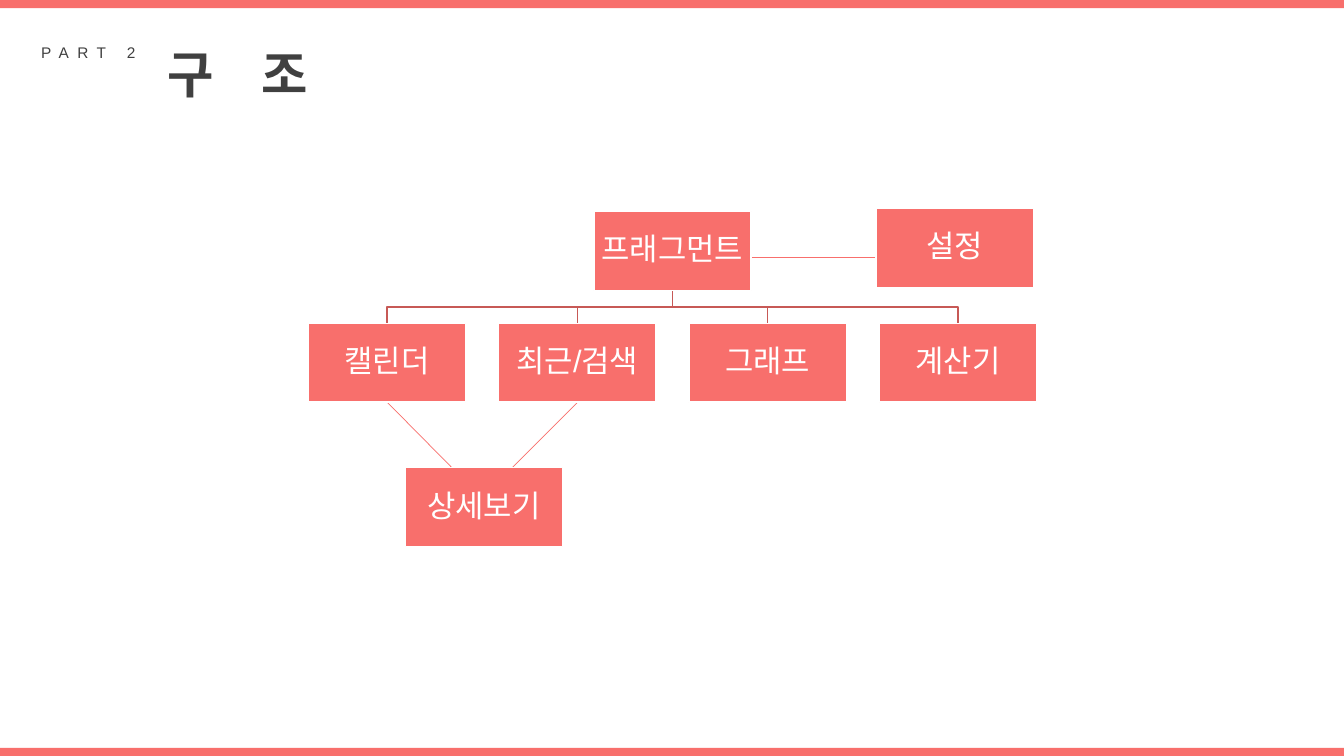
from dataclasses import dataclass

from lxml import etree
from pptx import Presentation
from pptx.dml.color import RGBColor
from pptx.enum.shapes import MSO_CONNECTOR, MSO_SHAPE
from pptx.enum.text import MSO_ANCHOR, MSO_AUTO_SIZE, PP_ALIGN
from pptx.oxml.ns import qn
from pptx.slide import Slide
from pptx.util import Inches, Pt

RECTANGLE = MSO_SHAPE.RECTANGLE
STRAIGHT = MSO_CONNECTOR.STRAIGHT
MIDDLE = MSO_ANCHOR.MIDDLE
CENTER = PP_ALIGN.CENTER
FIT_SHAPE = MSO_AUTO_SIZE.SHAPE_TO_FIT_TEXT

CORAL = RGBColor(0xF8, 0x6F, 0x6C)
BRICK = RGBColor(0xC7, 0x59, 0x56)
WHITE = RGBColor(0xFF, 0xFF, 0xFF)
CHARCOAL = RGBColor(0x40, 0x40, 0x40)

FONT = "Arial"
SLIDE_WIDTH = 13.33
SLIDE_HEIGHT = 7.5
BAR_HEIGHT = 0.08
BOX_WIDTH = 1.56
BOX_HEIGHT = 0.78
ROW_LEFT = 3.06
ROW_TOP = 3.21
ROW_STEP = 1.887
LETTER_SPACING = 600


@dataclass(frozen=True)
class Box:
    label: str
    left: float
    top: float

    @property
    def center(self) -> float:
        return self.left + BOX_WIDTH / 2

    @property
    def bottom(self) -> float:
        return self.top + BOX_HEIGHT


@dataclass(frozen=True)
class Link:
    start_x: float
    start_y: float
    end_x: float
    end_y: float


@dataclass(frozen=True)
class Heading:
    text: str
    left: float
    top: float
    width: float
    height: float
    size: int
    bold: bool


ROOT = Box("프래그먼트", 5.89, 2.1)
CHILDREN = [
    Box(label, ROW_LEFT + index * ROW_STEP, ROW_TOP)
    for index, label in enumerate(["캘린더", "최근/검색", "그래프", "계산기"])
]
DETAIL = Box("상세보기", 4.02, 4.64)
SETTINGS = Box("설정", 8.69, 2.07)

LINKS = [
    Link(3.84, 3.99, 4.68, 4.84),
    Link(5.73, 3.99, 4.91, 4.81),
    Link(7.38, 2.55, 8.76, 2.55),
]
HEADINGS = [
    Heading("구  조", 1.56, 0.38, 1.83, 0.71, 36, True),
    Heading("PART 2", 0.31, 0.38, 1.25, 0.29, 11, False),
]


def add_bar(slide: Slide, top: float) -> None:
    shape = slide.shapes.add_shape(
        RECTANGLE, 0, Inches(top), Inches(SLIDE_WIDTH), Inches(BAR_HEIGHT)
    )
    shape.shadow.inherit = False
    shape.fill.solid()
    shape.fill.fore_color.rgb = CORAL
    shape.line.fill.background()


def add_branch(slide: Slide, parent: Box, child: Box) -> None:
    middle = (parent.bottom + child.top) / 2
    builder = slide.shapes.build_freeform(Inches(parent.center), Inches(parent.bottom))
    corners = [(parent.center, middle), (child.center, middle), (child.center, child.top)]
    builder.add_line_segments([(Inches(x), Inches(y)) for x, y in corners], close=False)
    shape = builder.convert_to_shape()
    shape.shadow.inherit = False
    shape.fill.background()
    shape.line.color.rgb = BRICK
    shape.line.width = Pt(1)


def add_link(slide: Slide, link: Link) -> None:
    connector = slide.shapes.add_connector(
        STRAIGHT,
        Inches(link.start_x),
        Inches(link.start_y),
        Inches(link.end_x),
        Inches(link.end_y),
    )
    connector.line.color.rgb = CORAL
    connector.line.width = Pt(0.5)
    etree.SubElement(connector._element.spPr, qn("a:effectLst"))


def add_box(slide: Slide, box: Box) -> None:
    shape = slide.shapes.add_shape(
        RECTANGLE, Inches(box.left), Inches(box.top), Inches(BOX_WIDTH), Inches(BOX_HEIGHT)
    )
    shape.shadow.inherit = False
    shape.fill.solid()
    shape.fill.fore_color.rgb = CORAL
    shape.line.color.rgb = WHITE
    shape.line.width = Pt(1)
    frame = shape.text_frame
    frame.word_wrap = True
    frame.vertical_anchor = MIDDLE
    frame.margin_left = frame.margin_right = Inches(0.02)
    frame.margin_top = frame.margin_bottom = Inches(0.02)
    paragraph = frame.paragraphs[0]
    paragraph.alignment = CENTER
    paragraph.line_spacing = 0.9
    paragraph.space_after = Pt(7.7)
    run = paragraph.add_run()
    run.text = box.label
    run.font.name = FONT
    run.font.size = Pt(22)
    run.font.color.rgb = WHITE


def add_heading(slide: Slide, heading: Heading) -> None:
    shape = slide.shapes.add_textbox(
        Inches(heading.left), Inches(heading.top), Inches(heading.width), Inches(heading.height)
    )
    frame = shape.text_frame
    frame.word_wrap = False
    frame.auto_size = FIT_SHAPE
    run = frame.paragraphs[0].add_run()
    run.text = heading.text
    run.font.name = FONT
    run.font.size = Pt(heading.size)
    run.font.bold = heading.bold
    run.font.color.rgb = CHARCOAL
    run.font._element.set("spc", str(LETTER_SPACING))


def main() -> None:
    presentation = Presentation()
    presentation.slide_width = Inches(SLIDE_WIDTH)
    presentation.slide_height = Inches(SLIDE_HEIGHT)
    slide = presentation.slides.add_slide(presentation.slide_layouts[6])
    for top in (0, SLIDE_HEIGHT - BAR_HEIGHT):
        add_bar(slide, top)
    for child in reversed(CHILDREN):
        add_branch(slide, ROOT, child)
    for link in LINKS:
        add_link(slide, link)
    for box in [ROOT, *CHILDREN, DETAIL, SETTINGS]:
        add_box(slide, box)
    for heading in HEADINGS:
        add_heading(slide, heading)
    presentation.save("out.pptx")


if __name__ == "__main__":
    main()
